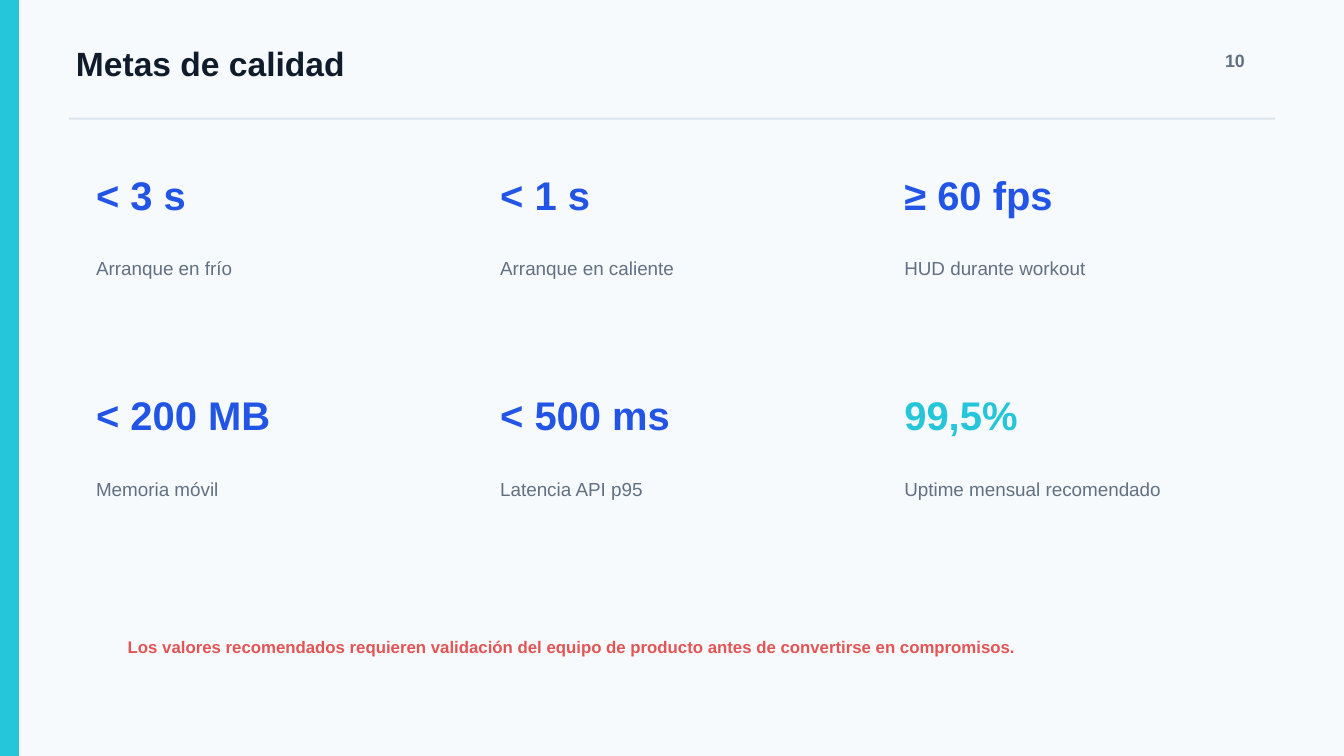
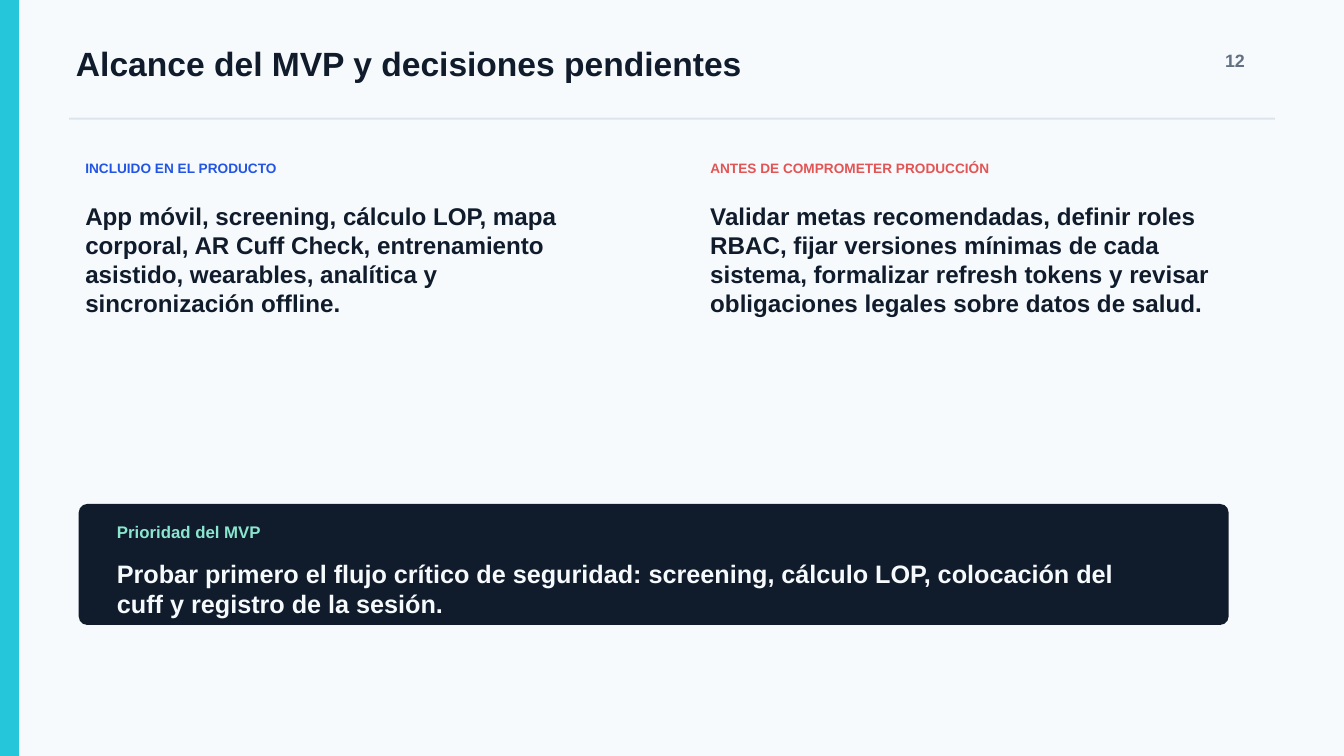
from dataclasses import dataclass

from pptx import Presentation
from pptx.dml.color import RGBColor
from pptx.enum.shapes import MSO_SHAPE
from pptx.enum.text import MSO_AUTO_SIZE, MSO_ANCHOR
from pptx.util import Pt


@dataclass(frozen=True)
class Theme:
    font: str = "Arial"
    paper: str = "F7FAFC"
    ink: str = "101C2C"
    muted: str = "627083"
    rule: str = "DCE4ED"
    cyan: str = "25C6DA"
    blue: str = "2255E6"
    red: str = "E35454"
    mint: str = "8AE6CE"
    title: float = 36
    page: float = 19.1
    metric: float = 42.8
    label: float = 20.2
    note: float = 18
    head: float = 14.6
    body: float = 25.9
    call: float = 27
    leading: float = 1.2


WIDTH, HEIGHT = 1440, 810


class Deck:
    def __init__(self, theme):
        self.theme = theme
        self.prs = Presentation()
        self.prs.slide_width, self.prs.slide_height = Pt(WIDTH), Pt(HEIGHT)
        self.slide = None

    def box(self, left, top, width, height, fill, radius=0):
        kind = MSO_SHAPE.ROUNDED_RECTANGLE if radius else MSO_SHAPE.RECTANGLE
        shape = self.slide.shapes.add_shape(
            kind, Pt(left), Pt(top), Pt(width), Pt(height))
        if radius:
            shape.adjustments[0] = radius / min(width, height)
        shape.shadow.inherit = False
        shape.fill.solid()
        shape.fill.fore_color.rgb = RGBColor.from_string(fill)
        shape.line.fill.background()

    def text(self, words, left, top, width, height, size, color, bold=True):
        shape = self.slide.shapes.add_textbox(
            Pt(left), Pt(top), Pt(width), Pt(height))
        frame = shape.text_frame
        style = {"margin_left": 0, "margin_right": 0, "margin_top": 0,
                 "margin_bottom": 0, "word_wrap": True,
                 "auto_size": MSO_AUTO_SIZE.SHAPE_TO_FIT_TEXT,
                 "vertical_anchor": MSO_ANCHOR.TOP}
        for name, value in style.items():
            setattr(frame, name, value)
        para = frame.paragraphs[0]
        para.line_spacing = Pt(round(size * self.theme.leading, 1))
        run = para.add_run()
        run.text = words
        for name, value in {"name": self.theme.font, "size": Pt(size),
                            "bold": bold}.items():
            setattr(run.font, name, value)
        run.font.color.rgb = RGBColor.from_string(color)

    def page(self, title, number):
        """Start a slide with its side band, title, number and rule."""
        look = self.theme
        self.slide = self.prs.slides.add_slide(self.prs.slide_layouts[6])
        fill = self.slide.background.fill
        fill.solid()
        fill.fore_color.rgb = RGBColor.from_string(look.paper)
        self.box(0, 0, 20.2, HEIGHT, look.cyan)
        self.text(title, 81.4, 46.1, 1201, 60.5, look.title, look.ink)
        self.text(str(number), 1312.6, 53.3, 53.3, 33.8, look.page, look.muted)
        self.box(74.2, 126, 1291.7, 2.2, look.rule)

    def metric(self, value, label, left, top, color):
        look = self.theme
        self.text(value, left, top, 323.3, 75.6, look.metric, color)
        self.text(label, left, top + 92.9, 323.3, 49.7, look.label,
                  look.muted, bold=False)

    def column(self, head, body, left, color):
        look = self.theme
        self.text(head, left, 171.4, 525, 21.6, look.head, color)
        self.text(body, left, 216, 548, 208, look.body, look.ink)

    def callout(self, head, body):
        look = self.theme
        self.box(84.4, 540, 1232, 129.6, look.ink, radius=9)
        self.text(head, 125.3, 558.7, 255.6, 28.1, look.note, look.mint)
        self.text(body, 125.3, 598.3, 1111, 48.2, look.call, look.paper)


def goals(deck):
    look = deck.theme
    deck.page("Metas de calidad", 10)
    metrics = [
        ("< 3 s", "Arranque en frío", look.blue),
        ("< 1 s", "Arranque en caliente", look.blue),
        ("≥ 60 fps", "HUD durante workout", look.blue),
        ("< 200 MB", "Memoria móvil", look.blue),
        ("< 500 ms", "Latencia API p95", look.blue),
        ("99,5%", "Uptime mensual recomendado", look.cyan),
    ]
    for index, (value, label, color) in enumerate(metrics):
        row, col = divmod(index, 3)
        deck.metric(value, label, 102.9 + 433 * col, 182.2 + 236.4 * row, color)
    deck.text("Los valores recomendados requieren validación del equipo de "
              "producto antes de convertirse en compromisos.",
              136.8, 682.6, 1167, 39.6, look.note, look.red)


def scope(deck):
    look = deck.theme
    deck.page("Alcance del MVP y decisiones pendientes", 12)
    deck.column("INCLUIDO EN EL PRODUCTO",
                "App móvil, screening, cálculo LOP, mapa corporal, AR Cuff "
                "Check, entrenamiento asistido, wearables, analítica y "
                "sincronización offline.", 91.4, look.blue)
    deck.column("ANTES DE COMPROMETER PRODUCCIÓN",
                "Validar metas recomendadas, definir roles RBAC, fijar "
                "versiones mínimas de cada sistema, formalizar refresh tokens "
                "y revisar obligaciones legales sobre datos de salud.",
                761, look.red)
    deck.callout("Prioridad del MVP",
                 "Probar primero el flujo crítico de seguridad: screening, "
                 "cálculo LOP, colocación del cuff y registro de la sesión.")


def main():
    deck = Deck(Theme())
    goals(deck)
    scope(deck)
    deck.prs.save("out.pptx")


if __name__ == "__main__":
    main()
